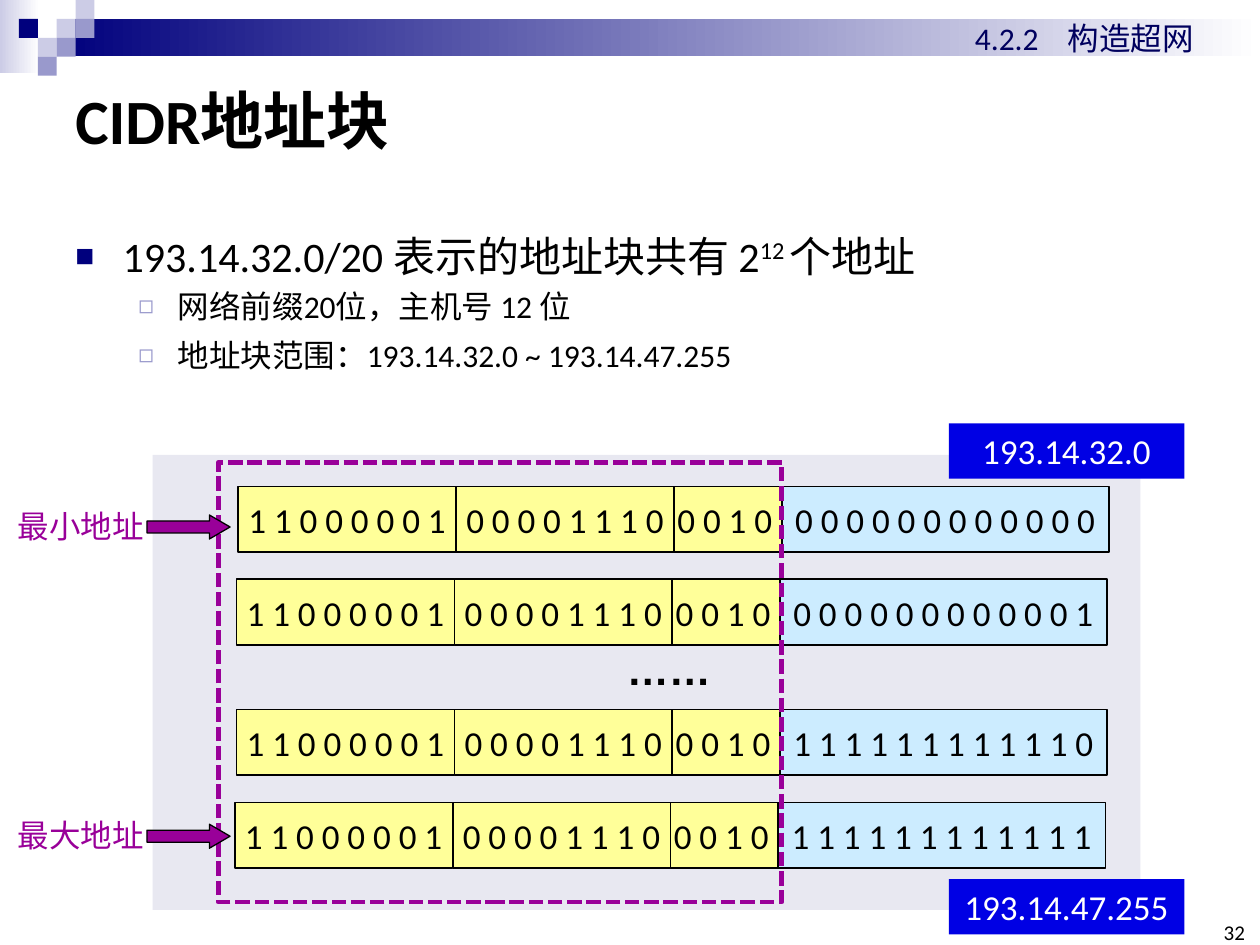
import pptx
import pptx.util
import pptx.dml.color
import pptx.enum.dml
import pptx.enum.shapes
import pptx.enum.text
import pptx.oxml.ns
import lxml.etree

Pt = pptx.util.Pt
SHAPE = pptx.enum.shapes.MSO_SHAPE
ALIGN = pptx.enum.text.PP_ALIGN
ANCHOR = pptx.enum.text.MSO_ANCHOR
qn = pptx.oxml.ns.qn

COLORS = {
    "navy": "00007D", "lavender": "CCCCE6", "violet": "9999CC", "white": "FFFFFF",
    "panel": "E8E8F1", "black": "000000", "section": "00005E", "prefix": "FFFF99",
    "host": "CCECFF", "purple": "990099", "blue": "0000E4",
}


def rgb(name):
    return pptx.dml.color.RGBColor.from_string(COLORS[name])


def add_block(page, box, fill=None, line=None, width=1, kind=SHAPE.RECTANGLE):
    shape = page.shapes.add_shape(kind, *[Pt(value) for value in box])
    shape.shadow.inherit = False
    if fill is None:
        shape.fill.background()
    elif isinstance(fill, tuple):
        shape.fill.gradient()
        shape.fill.gradient_angle = 0
        for stop, name, position in zip(shape.fill.gradient_stops, fill, (0, 1)):
            stop.color.rgb = rgb(name)
            stop.position = position
    else:
        shape.fill.solid()
        shape.fill.fore_color.rgb = rgb(fill)
    if line is None:
        shape.line.fill.background()
    else:
        shape.line.color.rgb = rgb(line)
        shape.line.width = Pt(width)
    return shape


def add_span(para, text, size, color="black", font="Calibri", bold=False):
    span = para.add_run()
    span.text = text
    span.font.size = Pt(size)
    span.font.name = font
    span.font.bold = bold
    span.font.color.rgb = rgb(color)
    return span


def set_frame(shape, anchor=ANCHOR.TOP, wrap=True, margins=None):
    frame = shape.text_frame
    frame.word_wrap = wrap
    frame.vertical_anchor = anchor
    if margins is not None:
        frame.margin_left = frame.margin_right = Pt(margins)
        frame.margin_top = frame.margin_bottom = Pt(margins)
    return frame


def write(shape, text, size, color="black", font="Calibri", bold=False,
          align=ALIGN.LEFT, **frame_options):
    para = set_frame(shape, **frame_options).paragraphs[0]
    para.alignment = align
    add_span(para, text, size, color, font, bold)
    return para


def add_label(page, box, text, size, **options):
    label = page.shapes.add_textbox(*[Pt(value) for value in box])
    return write(label, text, size, **options)


def add_tab_stop(para, position):
    stops = lxml.etree.SubElement(para._p.get_or_add_pPr(), qn("a:tabLst"))
    stop = lxml.etree.SubElement(stops, qn("a:tab"))
    stop.set("pos", str(Pt(position)))
    stop.set("algn", "l")


def add_bullet(para, mark, color, scale, indent, hanging):
    props = para._p.get_or_add_pPr()
    props.set("marL", str(Pt(indent)))
    props.set("indent", str(-Pt(hanging)))
    bullet_color = lxml.etree.SubElement(props, qn("a:buClr"))
    lxml.etree.SubElement(bullet_color, qn("a:srgbClr")).set("val", COLORS[color])
    lxml.etree.SubElement(props, qn("a:buSzPct")).set("val", str(scale * 1000))
    lxml.etree.SubElement(props, qn("a:buFont")).set("typeface", "Arial")
    lxml.etree.SubElement(props, qn("a:buChar")).set("char", mark)


def add_header(page, left, top):
    add_block(page, (left, top, 22.5, 42), ("lavender", "white"))
    add_block(page, (left + 32.5, top + 10.8, 687.5, 21.4), ("navy", "white"))
    cell = 10.8
    squares = [(3, 1, "lavender"), (4, 0, "lavender"), (4, 1, "violet"), (2, 2, "lavender"),
               (1, 1, "navy"), (3, 2, "violet"), (2, 3, "violet")]
    for column, row, color in squares:
        add_block(page, (left + cell * column, top + cell * row, cell, cell), color)
    section = add_label(page, (left + 550, top + 7.2, 150, 29), "4.2.2\t构造超网", 18,
                        color="section")
    add_tab_stop(section, 53)


def add_body(page, box):
    body = page.shapes.add_textbox(*[Pt(value) for value in box])
    frame = set_frame(body)
    head = frame.paragraphs[0]
    head.line_spacing = 1.5
    head.space_before = Pt(4.8)
    add_bullet(head, "■", "navy", 75, 27, 27)
    add_span(head, "193.14.32.0/20 表示的地址块共有 2", 24)
    add_span(head, "12 ", 24).font._element.set("baseline", "30000")
    add_span(head, "个地址", 24)
    details = [("网络前缀20位，主机号 12 位", 3.6),
               ("地址块范围：193.14.32.0 ~ 193.14.47.255", 6)]
    for text, gap in details:
        para = frame.add_paragraph()
        para.level = 1
        para.space_before = Pt(gap)
        add_bullet(para, "◻", "violet", 80, 58.5, 22.5)
        add_span(para, text, 18)


def add_address(page, left, top, host):
    fields = [(0, 124.5, "1 1 0 0 0 0 0 1", "prefix"),
              (124.5, 124.5, "0 0 0 0 1 1 1 0", "prefix"),
              (249, 62.5, "0 0 1 0 ", "prefix"),
              (310.5, 187, host, "host")]
    for offset, width, bits, color in fields:
        field = add_block(page, (left + offset, top, width, 37.5), color, "black")
        write(field, bits, 20, align=ALIGN.CENTER, anchor=ANCHOR.MIDDLE, wrap=False,
              margins=0)


def add_pointer(page, left, top, text):
    add_label(page, (left, top, 87, 29), text, 18, color="purple", wrap=False)
    arrow = add_block(page, (left + 81, top + 8.3, 47.5, 13.7), "purple", "black", 0.75,
                      SHAPE.RIGHT_ARROW)
    arrow.adjustments[0] = 0.5
    arrow.adjustments[1] = 0.86


def add_diagram(page, left, top):
    add_block(page, (left, top, 564.5, 260), "panel")
    rows = [(49, 18, "0 0 0 0 0 0 0 0 0 0 0 0"), (48, 71, "0 0 0 0 0 0 0 0 0 0 0 1"),
            (48, 145.5, "1 1 1 1 1 1 1 1 1 1 1 0"), (47, 198.5, "1 1 1 1 1 1 1 1 1 1 1 1")]
    for x, y, host in rows:
        add_address(page, left + x, top + y, host)
    add_label(page, (left + 264, top + 104.3, 64, 36), "……", 24, font="Arial", bold=True)
    frame = add_block(page, (left + 37.5, top + 4.2, 322, 251.3), None, "purple", 2.75)
    frame.line.dash_style = pptx.enum.dml.MSO_LINE.SQUARE_DOT
    for y, text in [(26, "最小地址"), (202.7, "最大地址")]:
        add_pointer(page, left - 84.2, top + y, text)
    for y, text in [(-18, "193.14.32.0"), (242.4, "193.14.47.255")]:
        tag = add_block(page, (left + 455, top + y, 134.6, 31.5), "blue")
        write(tag, text, 20, color="white", align=ALIGN.CENTER)


def build_slide(deck):
    page = deck.slides.add_slide(deck.slide_layouts[6])
    add_header(page, 0, 0)
    add_label(page, (36, 36, 648, 64), "CIDR地址块", 36, bold=True, anchor=ANCHOR.MIDDLE)
    add_body(page, (36, 113.8, 658.8, 140.4))
    add_diagram(page, 87.2, 260)
    add_label(page, (694.8, 527.8, 16.6, 12.2), "32", 12, align=ALIGN.RIGHT,
              anchor=ANCHOR.BOTTOM, margins=0)


deck = pptx.Presentation()
deck.slide_width = Pt(720)
deck.slide_height = Pt(540)
build_slide(deck)
deck.save("out.pptx")
